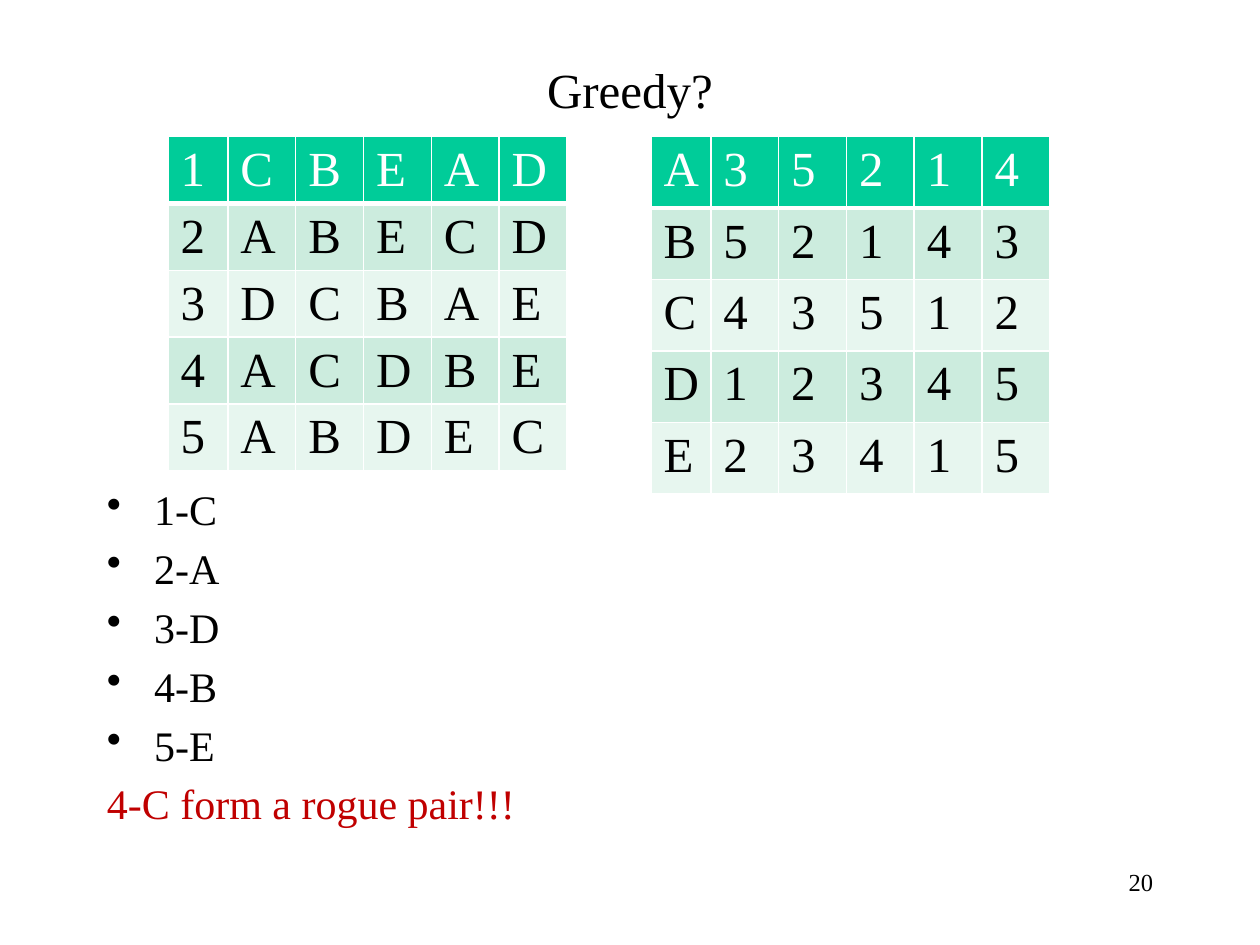
from pptx import Presentation
from pptx.dml.color import RGBColor
from pptx.enum.text import MSO_ANCHOR, PP_ALIGN
from pptx.oxml.ns import qn
from pptx.util import Pt
from lxml import etree

CENTER, RIGHT, LEFT = PP_ALIGN.CENTER, PP_ALIGN.RIGHT, PP_ALIGN.LEFT
MIDDLE = MSO_ANCHOR.MIDDLE

TITLE = "Greedy?"
NUMBER_PREFERENCES = ["1CBEAD", "2ABECD", "3DCBAE", "4ACDBE", "5ABDEC"]
LETTER_PREFERENCES = ["A35214", "B52143", "C43512", "D12345", "E23415"]
PAIRS = ["1-C", "2-A", "3-D", "4-B", "5-E"]
CONCLUSION = "4-C form a rogue pair!!!"
PAGE_NUMBER = "20"

THEME = {
    "font": "Times New Roman",
    "title": 28, "cell": 28, "body": 24, "page": 14,
    "ink": "000000", "alert": "C00000", "paper": "FFFFFF",
    "header": "00CC99", "bands": ("CCECDE", "E7F6EF"),
}
TABLE_TOP, TABLE_HEIGHT, ROW_HEIGHT = 78, 144, 25.2
KEY_WIDTH, CHOICE_WIDTH = 34.2, 38.76
BULLET_INDENT = 27


def color(name):
    return RGBColor.from_string(THEME.get(name, name))


def format_paragraph(paragraph, size, ink="ink", align=LEFT):
    paragraph.alignment = align
    for run in paragraph.runs:
        run.font.name = THEME["font"]
        run.font.size = Pt(THEME[size])
        run.font.color.rgb = color(ink)


def add_text(slide, left, top, width, height, text):
    frame = slide.shapes.add_textbox(Pt(left), Pt(top), Pt(width), Pt(height)).text_frame
    frame.word_wrap = True
    frame.text = text
    return frame


def add_borders(cell, bottom):
    properties = cell._tc.get_or_add_tcPr()
    widths = {"a:lnL": 1, "a:lnR": 1, "a:lnT": 1, "a:lnB": bottom}
    for position, (side, width) in enumerate(widths.items()):
        line = etree.Element(qn(side), w=str(Pt(width)))
        fill = etree.SubElement(line, qn("a:solidFill"))
        etree.SubElement(fill, qn("a:srgbClr"), val=THEME["paper"])
        properties.insert(position, line)


def add_preferences(slide, left, rows):
    column_count = len(rows[0])
    width = KEY_WIDTH + CHOICE_WIDTH * (column_count - 1)
    frame = slide.shapes.add_table(len(rows), column_count, Pt(left), Pt(TABLE_TOP),
                                   Pt(width), Pt(TABLE_HEIGHT))
    table = frame.table
    for index, column in enumerate(table.columns):
        column.width = Pt(CHOICE_WIDTH if index else KEY_WIDTH)
    for r, row in enumerate(rows):
        table.rows[r].height = Pt(ROW_HEIGHT)
        for c, entry in enumerate(row):
            cell = table.cell(r, c)
            cell.text = entry
            cell.fill.solid()
            cell.fill.fore_color.rgb = color(THEME["bands"][(r - 1) % 2] if r else "header")
            format_paragraph(cell.text_frame.paragraphs[0], "cell", "ink" if r else "paper")
            add_borders(cell, 1 if r else 3)
    frame.height = Pt(TABLE_HEIGHT)


def space_and_bullet(paragraph, bulleted):
    properties = paragraph._p.get_or_add_pPr()
    spacing = etree.SubElement(properties, qn("a:spcBef"))
    etree.SubElement(spacing, qn("a:spcPct"), val="20000")
    if bulleted:
        properties.set("marL", str(Pt(BULLET_INDENT)))
        properties.set("indent", str(-Pt(BULLET_INDENT)))
        etree.SubElement(properties, qn("a:buChar"), char="•")


def main():
    presentation = Presentation()
    presentation.slide_width, presentation.slide_height = Pt(720), Pt(540)
    slide = presentation.slides.add_slide(presentation.slide_layouts[5])

    title = slide.shapes.title
    title.left, title.top, title.width, title.height = Pt(54), Pt(30), Pt(612), Pt(42)
    title.text_frame.text = TITLE
    title.text_frame.vertical_anchor = MIDDLE
    format_paragraph(title.text_frame.paragraphs[0], "title", align=CENTER)

    add_preferences(slide, 96, NUMBER_PREFERENCES)

    page = add_text(slide, 516, 492, 150, 36, PAGE_NUMBER)
    format_paragraph(page.paragraphs[0], "page", align=RIGHT)

    body = add_text(slide, 54, 273, 612, 210, "\n".join(PAIRS + [CONCLUSION]))
    for paragraph in body.paragraphs:
        is_pair = paragraph.text in PAIRS
        format_paragraph(paragraph, "body", "ink" if is_pair else "alert")
        space_and_bullet(paragraph, is_pair)

    add_preferences(slide, 372, LETTER_PREFERENCES)
    presentation.save("out.pptx")


if __name__ == "__main__":
    main()
